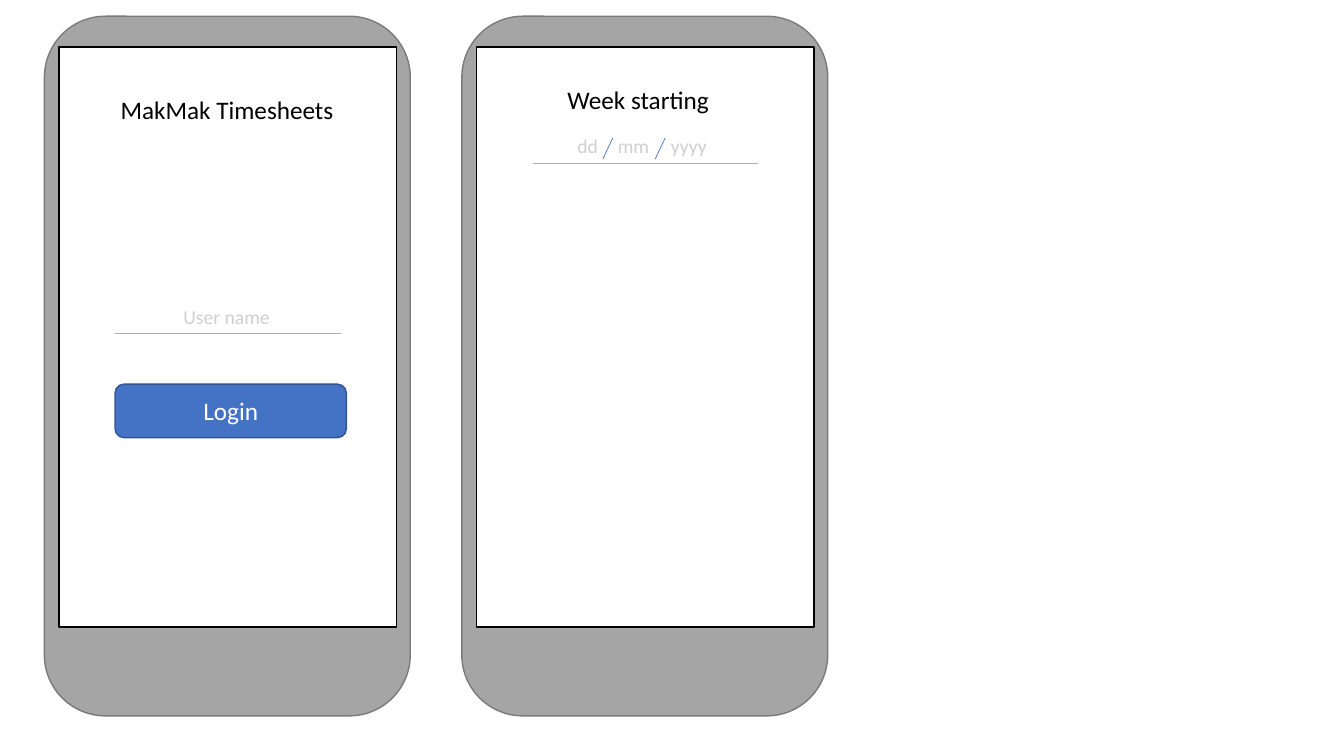
from dataclasses import dataclass

from lxml.etree import SubElement
from pptx import Presentation
from pptx.dml.color import RGBColor
from pptx.enum.shapes import MSO_CONNECTOR, MSO_SHAPE
from pptx.enum.text import MSO_ANCHOR, MSO_AUTO_SIZE, PP_ALIGN
from pptx.oxml.ns import qn
from pptx.shapes.autoshape import Shape
from pptx.text.text import TextFrame
from pptx.util import Cm, Pt

BLACK = RGBColor(0x00, 0x00, 0x00)
WHITE = RGBColor(0xFF, 0xFF, 0xFF)
CASE_GREY = RGBColor(0xA5, 0xA5, 0xA5)
CASE_EDGE = RGBColor(0x7A, 0x7A, 0x7A)
FIELD_GREY = RGBColor(0xAF, 0xAB, 0xAB)
HINT_GREY = RGBColor(0xD0, 0xCE, 0xCE)
BLUE = RGBColor(0x44, 0x72, 0xC4)
BLUE_EDGE = RGBColor(0x32, 0x54, 0x91)

FONT = "Calibri"
LOGIN_LEFT, WEEK_LEFT = 1.12, 11.64  # left edges of the two phones, in cm
FIELD_INSET, FIELD_WIDTH = 1.78, 5.69
DATE_TOP = 3.25


@dataclass
class Box:
    """Position and size in centimetres."""
    left: float
    top: float
    width: float
    height: float


@dataclass
class Label:
    text: str
    box: Box
    size: int
    color: RGBColor


def format_text(frame: TextFrame, text: str, size: int, color: RGBColor) -> None:
    frame.text = text
    font = frame.paragraphs[0].runs[0].font
    font.name, font.size, font.color.rgb = FONT, Pt(size), color


def add_panel(shapes, kind: MSO_SHAPE, box: Box, fill: RGBColor, edge: RGBColor) -> Shape:
    panel = shapes.add_shape(kind, Cm(box.left), Cm(box.top), Cm(box.width), Cm(box.height))
    panel.shadow.inherit = False
    panel.fill.solid()
    panel.fill.fore_color.rgb = fill
    panel.line.color.rgb = edge
    panel.line.width = Pt(1)
    return panel


def add_phone(shapes, left: float) -> None:
    phone = shapes.add_group_shape().shapes
    add_panel(phone, MSO_SHAPE.ROUNDED_RECTANGLE, Box(left, 0.41, 9.22, 17.63), CASE_GREY, CASE_EDGE)
    add_panel(phone, MSO_SHAPE.RECTANGLE, Box(left + 0.37, 1.19, 8.51, 14.61), WHITE, BLACK)


def add_label(shapes, label: Label) -> None:
    box = label.box
    frame = shapes.add_textbox(Cm(box.left), Cm(box.top), Cm(box.width), Cm(box.height)).text_frame
    frame.word_wrap = False
    frame.auto_size = MSO_AUTO_SIZE.SHAPE_TO_FIT_TEXT
    format_text(frame, label.text, label.size, label.color)


def add_thin_line(shapes, x1: float, y1: float, x2: float, y2: float, color: RGBColor) -> None:
    line = shapes.add_connector(MSO_CONNECTOR.STRAIGHT, Cm(x1), Cm(y1), Cm(x2), Cm(y2))
    line.line.color.rgb = color
    line.line.width = Pt(0.5)
    SubElement(line._element.spPr, qn("a:effectLst"))


def add_field_line(shapes, phone_left: float, y: float) -> None:
    left = phone_left + FIELD_INSET
    add_thin_line(shapes, left, y, left + FIELD_WIDTH, y, FIELD_GREY)


def add_login_screen(shapes) -> None:
    add_phone(shapes, LOGIN_LEFT)
    add_label(shapes, Label("MakMak Timesheets", Box(2.79, 2.24, 5.89, 1.02), 18, BLACK))
    add_field_line(shapes, LOGIN_LEFT, 8.41)
    add_label(shapes, Label("User name", Box(4.37, 7.57, 2.72, 0.86), 14, HINT_GREY))
    login = add_panel(shapes, MSO_SHAPE.ROUNDED_RECTANGLE,
                      Box(LOGIN_LEFT + FIELD_INSET, 9.68, 5.83, 1.35), BLUE, BLUE_EDGE)
    format_text(login.text_frame, "Login", 18, WHITE)
    login.text_frame.vertical_anchor = MSO_ANCHOR.MIDDLE
    login.text_frame.paragraphs[0].alignment = PP_ALIGN.CENTER


def add_week_screen(shapes) -> None:
    add_phone(shapes, WEEK_LEFT)
    date = shapes.add_group_shape().shapes
    add_field_line(date, WEEK_LEFT, 4.11)
    for slash_left in (15.19, 16.51):
        add_thin_line(date, slash_left + 0.25, 3.48, slash_left, 4.01, BLUE)
    for hint, left, width in (("dd", 14.3, 1.12), ("mm", 15.32, 1.35), ("yyyy", 16.66, 1.47)):
        add_label(date, Label(hint, Box(left, DATE_TOP, width, 0.86), 14, HINT_GREY))
    add_label(shapes, Label("Week starting", Box(14.05, 2.01, 4.09, 1.02), 18, BLACK))


def main() -> None:
    deck = Presentation()
    deck.slide_width, deck.slide_height = Cm(33.87), Cm(19.05)
    slide = deck.slides.add_slide(deck.slide_layouts[6])
    add_login_screen(slide.shapes)
    add_week_screen(slide.shapes)
    deck.save("out.pptx")


if __name__ == "__main__":
    main()
